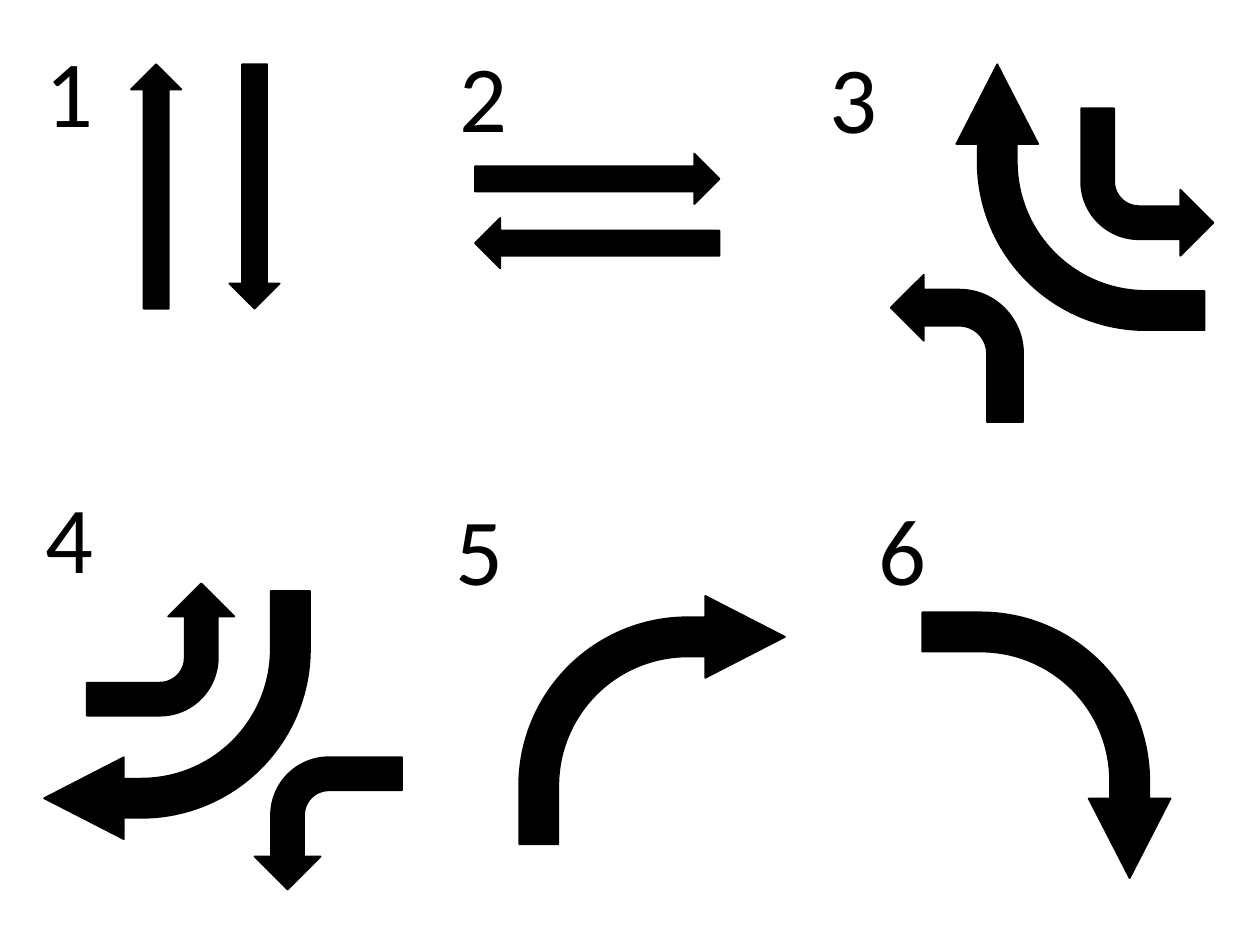
"""Build a slide of six numbered groups of straight and bent arrows."""
from pptx import Presentation
from pptx.dml.color import RGBColor
from pptx.enum.shapes import MSO_SHAPE
from pptx.enum.text import MSO_AUTO_SIZE, PP_ALIGN
from pptx.oxml.ns import qn
from pptx.util import Inches, Pt

STRAIGHT = MSO_SHAPE.RIGHT_ARROW
BENT = MSO_SHAPE.BENT_ARROW
GROW = MSO_AUTO_SIZE.SHAPE_TO_FIT_TEXT
CENTER = PP_ALIGN.CENTER

COLORS = {"ink": "000000", "paper": "FFFFFF"}
INK = RGBColor.from_string(COLORS["ink"])
FONT = {"name": "Calibri", "size": Pt(54)}
FRAME = {"word_wrap": False, "auto_size": GROW}

LONG = (1.94, 0.4)
LARGE = (2.11, 1.97)
SMALL = (1.05, 1.17)
SWEEP = (0.158, 0.165, 0.321, 0.679)
TURN = (0.273, 0.25, 0.25, 0.483)
EVEN = (0.25, 0.25, 0.25, 0.4375)

deck = Presentation()
deck.slide_width, deck.slide_height = Inches(10), Inches(7.5)
slide = deck.slides.add_slide(deck.slide_layouts[6])
back = slide.background.fill
back.solid()
back.fore_color.rgb = RGBColor.from_string(COLORS["paper"])


def add_arrow(kind, left, top, size, angle, bends=(), flip=False):
    arrow = slide.shapes.add_shape(
        kind, Inches(left), Inches(top), *map(Inches, size))
    arrow.shadow.inherit = False
    arrow.rotation = angle
    arrow.fill.solid()
    arrow.fill.fore_color.rgb = INK
    arrow.line.color.rgb = INK
    arrow.line.width = Pt(1)
    for i, bend in enumerate(bends):
        arrow.adjustments[i] = bend
    if flip:
        arrow.element.spPr.find(qn("a:xfrm")).set("flipH", "1")


for left, top, angle in [
    (1.05, 1.28, 90), (0.27, 1.28, 270), (3.77, 1.22, 0), (3.77, 1.73, 180),
]:
    add_arrow(STRAIGHT, left, top, LONG, angle)

for left, top, angle in [
    (7.52, 0.58, 270), (0.35, 4.69, 180), (4.12, 4.73, 0), (7.25, 4.93, 90),
]:
    add_arrow(BENT, left, top, LARGE, angle, SWEEP)

for left, top, angle, bends in [
    (7.07, 2.18, 0, TURN), (8.58, 0.86, 180, EVEN),
    (2.08, 5.95, 270, EVEN), (0.75, 4.57, 90, EVEN),
]:
    add_arrow(BENT, left, top, SMALL, angle, bends, flip=True)

places = [(0.26, 0.21), (3.54, 0.25), (6.48, 0.26),
          (0.26, 3.75), (3.51, 3.85), (6.87, 3.85)]
for num, (left, top) in enumerate(places, 1):
    label = slide.shapes.add_textbox(
        Inches(left), Inches(top), Inches(0.59), Inches(1.01))
    frame = label.text_frame
    for key, value in FRAME.items():
        setattr(frame, key, value)
    para = frame.paragraphs[0]
    para.alignment = CENTER
    run = para.add_run()
    run.text = str(num)
    for key, value in FONT.items():
        setattr(run.font, key, value)
    run.font.color.rgb = INK

deck.save("out.pptx")
